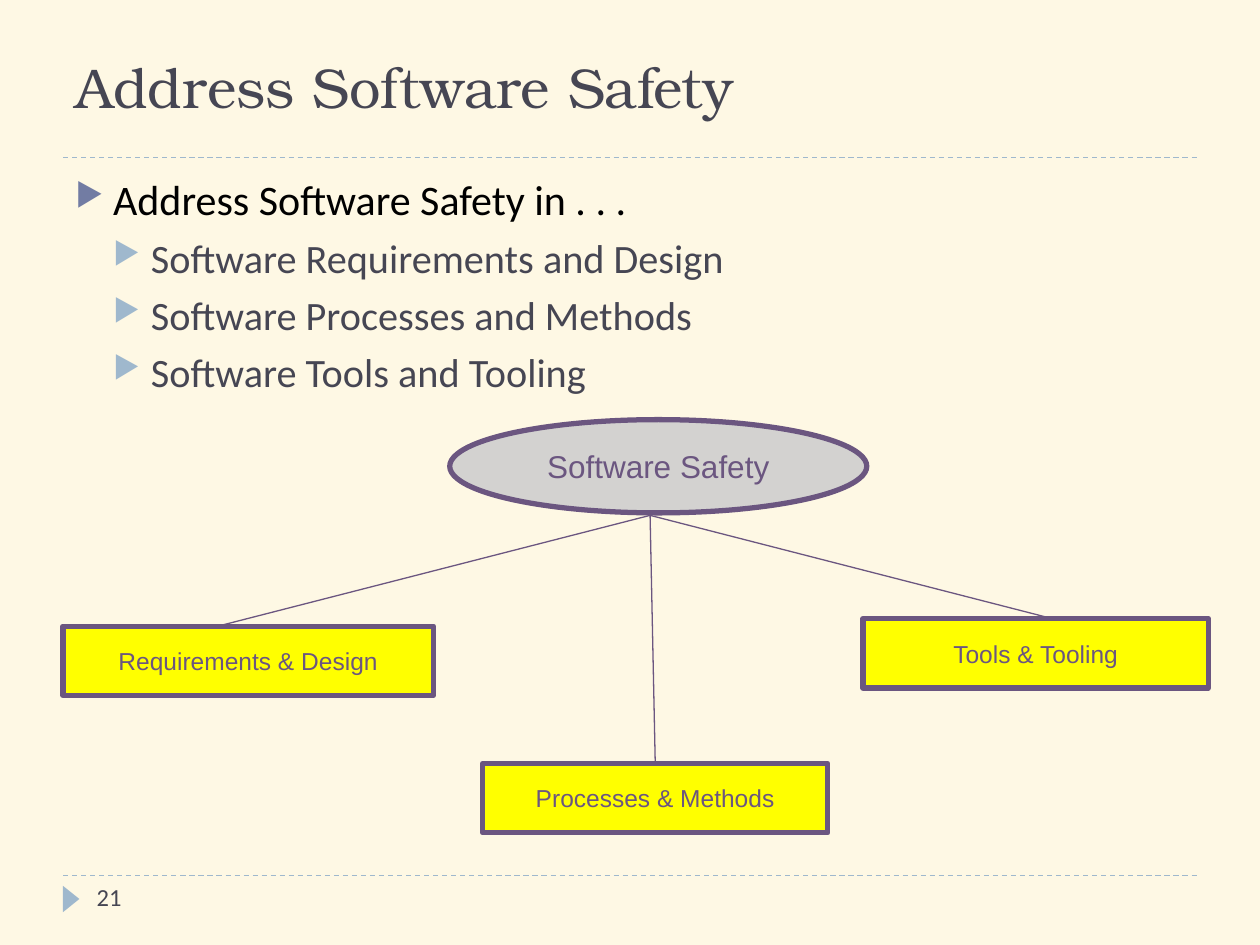
from dataclasses import dataclass

from lxml import etree
from pptx import Presentation
from pptx.dml.color import RGBColor
from pptx.enum import dml, shapes, text
from pptx.oxml import ns
from pptx.util import Pt


@dataclass(frozen=True)
class Theme:
    back: str = "FEF8E4"
    ink: str = "464653"
    black: str = "000000"
    slate: str = "727CA3"
    sky: str = "9FB8CD"
    plum: str = "6B5680"
    yellow: str = "FFFF00"
    serif: str = "TeX Gyre Bonum"
    sans: str = "Calibri"
    label: str = "Arial"
    title: int = 32
    lead: int = 24
    point: int = 23
    hub: int = 18
    small: int = 14


T = Theme()
SHAPE = shapes.MSO_SHAPE


def rgb(code):
    return RGBColor.from_string(code)


def add_xml(node, tag, **attrs):
    return etree.SubElement(node, ns.qn(tag), attrs)


def style(para, face, size, color):
    para.font.name = face
    para.font.size = Pt(size)
    para.font.color.rgb = rgb(color)


def text_box(slide, box, anchor=text.MSO_ANCHOR.TOP):
    frame = slide.shapes.add_textbox(*map(Pt, box)).text_frame
    frame.word_wrap = True
    frame.vertical_anchor = anchor
    return frame


def add_line(slide, start, end, color, dash=False):
    line = slide.shapes.add_connector(
        shapes.MSO_CONNECTOR.STRAIGHT, *map(Pt, (*start, *end)))
    line.line.color.rgb = rgb(color)
    line.line.width = Pt(0.75)
    if dash:
        line.line.dash_style = dml.MSO_LINE.DASH
    add_xml(line._element.spPr, "a:effectLst")
    return line


def add_shape(slide, kind, box, fill, alpha=None):
    shape = slide.shapes.add_shape(kind, *map(Pt, box))
    shape.shadow.inherit = False
    shape.fill.solid()
    shape.fill.fore_color.rgb = rgb(fill)
    if alpha is not None:
        color = shape._element.spPr.find(".//" + ns.qn("a:srgbClr"))
        add_xml(color, "a:alpha", val=str(alpha * 1000))
    shape.line.fill.background()
    return shape


def add_node(slide, kind, box, label, size, fill, alpha=None):
    """Add an outlined shape with a centred label."""
    node = add_shape(slide, kind, box, fill, alpha)
    node.line.color.rgb = rgb(T.plum)
    node.line.width = Pt(3)
    frame = node.text_frame
    frame.word_wrap = False
    frame.vertical_anchor = text.MSO_ANCHOR.MIDDLE
    para = frame.paragraphs[0]
    para.text = label
    para.alignment = text.PP_ALIGN.CENTER
    style(para, T.label, size, T.plum)
    return node


def add_bullet(para, level, color):
    para.level = level
    props = para._p.get_or_add_pPr()
    step = Pt(21.6)
    props.set("marL", str(step * (level + 1)))
    props.set("indent", str(-step))
    tint = add_xml(props, "a:buClr")
    add_xml(tint, "a:srgbClr", val=color)
    add_xml(props, "a:buSzPct", val="76000")
    add_xml(props, "a:buChar", char="▶")


def add_frame(slide):
    """Add the rules, page marker and page number."""
    for y in (90, 500.4):
        add_line(slide, (36, y), (684, y), T.sky, dash=True)
    mark = add_shape(slide, SHAPE.ISOSCELES_TRIANGLE, (33.1, 509, 15.1, 9.4), T.sky)
    mark.rotation = 90
    page = text_box(slide, (48.2, 500.4, 156, 28.8)).paragraphs[0]
    page.text = "21"
    style(page, T.sans, T.small, T.ink)


def add_body(slide):
    title = text_box(slide, (36, 12.2, 648, 59.8), text.MSO_ANCHOR.BOTTOM).paragraphs[0]
    title.text = "Address Software Safety"
    style(title, T.serif, T.title, T.ink)

    frame = text_box(slide, (36, 95.8, 648, 414))
    lead = frame.paragraphs[0]
    lead.text = "Address Software Safety in . . ."
    lead.space_before = Pt(6)
    add_bullet(lead, 0, T.slate)
    style(lead, T.sans, T.lead, T.black)
    for words in ("Requirements and Design", "Processes and Methods",
                  "Tools and Tooling"):
        para = frame.add_paragraph()
        para.text = f"Software {words}"
        para.space_before = Pt(5)
        add_bullet(para, 1, T.sky)
        style(para, T.sans, T.point, T.ink)


def add_tree(slide):
    add_node(slide, SHAPE.OVAL, (257, 239.8, 238.3, 53.3),
             "Software Safety", T.hub, T.slate, alpha=30)
    root = (371.5, 294.5)
    leaves = (
        ("Requirements & Design", 36, 357.8, 211.7, 124.6),
        ("Processes & Methods", 275.8, 436.3, 197.3, None),
        ("Tools & Tooling", 493.2, 353.5, 197.3, 601.2),
    )
    for label, left, top, width, end in leaves:
        leaf = add_node(slide, SHAPE.RECTANGLE, (left, top, width, 39.6),
                        label, T.small, T.yellow)
        line = add_line(slide, root, (end or left + width / 2, top), T.plum)
        if end is None:
            line.end_connect(leaf, 0)


def main():
    deck = Presentation()
    deck.slide_width, deck.slide_height = Pt(720), Pt(540)
    slide = deck.slides.add_slide(deck.slide_layouts[6])
    slide.background.fill.solid()
    slide.background.fill.fore_color.rgb = rgb(T.back)
    add_frame(slide)
    add_body(slide)
    add_tree(slide)
    deck.save("out.pptx")


if __name__ == "__main__":
    main()
